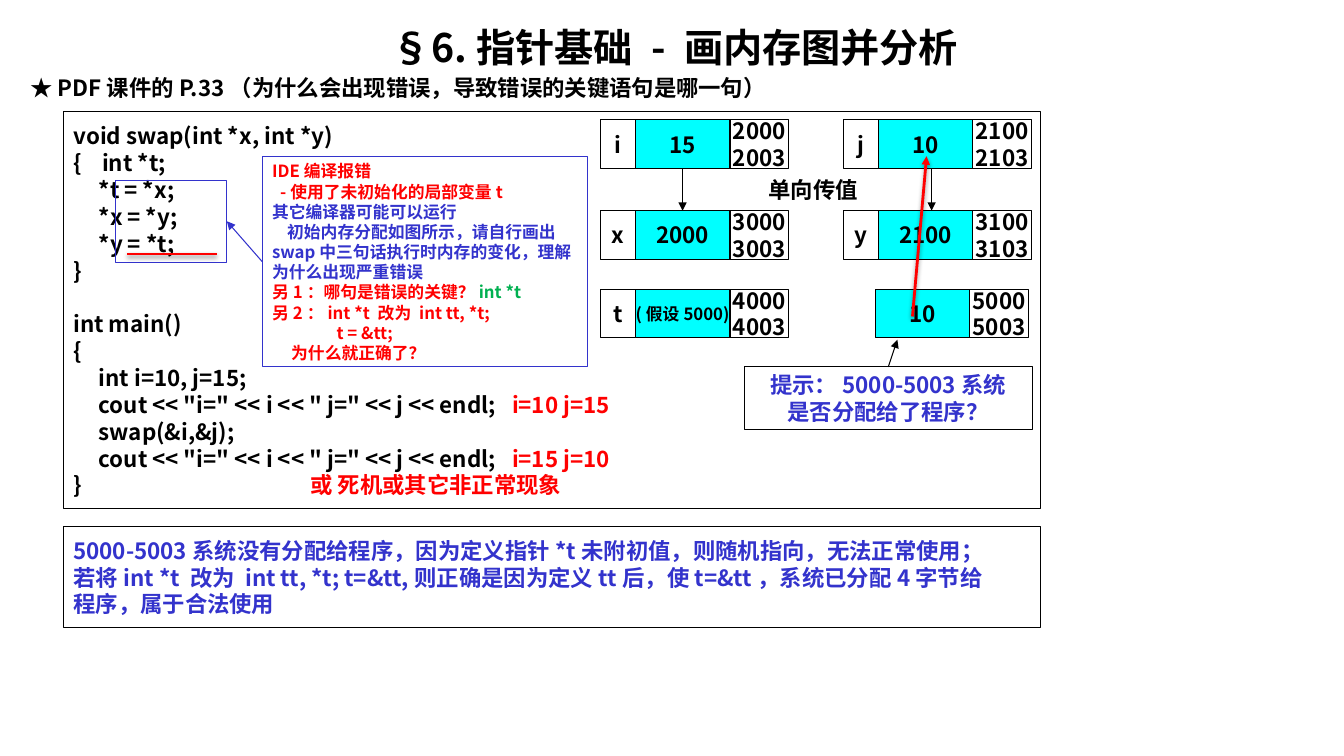
"""Build the slide that draws the memory of a faulty pointer swap."""
from dataclasses import dataclass
from typing import Optional

from lxml import etree
from pptx import Presentation, util as u
from pptx.dml.color import RGBColor
from pptx.enum import shapes, text
from pptx.oxml import ns

PX = 9144
FONT = "Noto Sans CJK SC"
COLORS = {"black": "000000", "red": "FF0000", "blue": "3333CC",
          "green": "00B050", "cyan": "00FFFF"}


@dataclass
class Line:
    words: str
    color: str = "black"
    size: int = 16
    center: bool = False
    indent: int = 0
    before: float = 0
    tab: int = 0
    extra: str = ""
    extra_color: str = "red"


@dataclass
class Memory:
    name: str
    x: int
    y: int
    value: str
    first_byte: int
    size: int = 16


@dataclass
class Arrow:
    start: tuple
    end: tuple
    color: str = "black"
    width: float = 0.75
    head: bool = True
    shadow: bool = False
    source: Optional[tuple] = None
    target: Optional[tuple] = None


CODE = [
    Line("void swap(int *x, int *y)"),
    Line("{    int *t;"),
    Line("     *t = *x;"),
    Line("     *x = *y;"),
    Line("     *y = *t;"),
    Line("}"),
    Line("int main()", before=19.2),
    Line("{"),
    Line("     int i=10, j=15;"),
    Line('     cout << "i=" << i << " j=" << j << endl;', tab=435, extra="i=10 j=15"),
    Line("     swap(&i,&j);"),
    Line('     cout << "i=" << i << " j=" << j << endl;', tab=435, extra="i=15 j=10"),
    Line("}", tab=235, extra="或 死机或其它非正常现象"),
]
REMARKS = [
    Line("IDE编译报错", "red", 12),
    Line("-使用了未初始化的局部变量t", "red", 12, indent=8),
    Line("其它编译器可能可以运行", "blue", 12),
    Line("初始内存分配如图所示，请自行画出swap中三句话执行时内存的变化，理解为什么出现严重错误",
         "blue", 12, indent=15),
    Line("另1：哪句是错误的关键？", "red", 12, extra="int *t", extra_color="green"),
    Line("另2：int *t 改为 int tt, *t;", "red", 12),
    Line("t = &tt;", "red", 12, indent=64),
    Line("为什么就正确了？", "red", 12, indent=19),
]
ANSWER = [Line(words, "blue") for words in (
    "5000-5003系统没有分配给程序，因为定义指针*t未附初值，则随机指向，无法正常使用；",
    "若将int *t 改为 int tt, *t; t=&tt,则正确是因为定义tt后，使t=&tt，系统已分配4字节给",
    "程序，属于合法使用")]
HINT = [Line(words, "blue", center=True)
        for words in ("提示：5000-5003系统", "是否分配给了程序？")]
HEADING = [
    Line("§6.指针基础 - 画内存图并分析", size=28, center=True),
    Line("★ PDF课件的P.33（为什么会出现错误，导致错误的关键语句是哪一句）", before=3.2),
]
MEMORY = [
    Memory("i", 596, 119, "15", 2000),
    Memory("j", 837, 119, "10", 2100),
    Memory("x", 596, 209, "2000", 3000),
    Memory("y", 837, 209, "2100", 3100),
    Memory("t", 596, 287, "(假设5000)", 4000, 12),
    Memory("", 834, 287, "10", 5000),
]


def rgb(color: str) -> RGBColor:
    return RGBColor.from_string(COLORS[color])


def write(frame, lines: list, wrap: bool, middle: bool, inset: int) -> None:
    frame.word_wrap = wrap
    frame.vertical_anchor = text.MSO_ANCHOR.MIDDLE if middle else text.MSO_ANCHOR.TOP
    frame.margin_left = frame.margin_right = inset * PX
    frame.margin_top = frame.margin_bottom = inset * PX // 2
    for number, line in enumerate(lines):
        paragraph = frame.add_paragraph() if number else frame.paragraphs[0]
        paragraph.alignment = text.PP_ALIGN.CENTER if line.center else text.PP_ALIGN.LEFT
        paragraph.line_spacing = u.Pt(line.size * 1.2)
        if line.before:
            paragraph.space_before = u.Pt(line.before)
        properties = paragraph._p.get_or_add_pPr()
        if line.indent:
            properties.set("marL", "0")
            properties.set("indent", str(line.indent * PX))
        if line.tab:
            stops = etree.SubElement(properties, ns.qn("a:tabLst"))
            etree.SubElement(stops, ns.qn("a:tab"), pos=str(line.tab * PX), algn="l")
        font = paragraph.font
        font.size, font.bold, font.name = u.Pt(line.size), True, FONT
        font.color.rgb = rgb(line.color)
        etree.SubElement(font._element, ns.qn("a:ea"), typeface=FONT)
        main = paragraph.add_run()
        main.text = line.words + ("\t" if line.tab else "")
        if line.extra:
            extra = paragraph.add_run()
            extra.text = line.extra
            main.font.color.rgb = rgb(line.color)
            extra.font.color.rgb = rgb(line.extra_color)


def add_box(slide, at: tuple, lines: list, edge: str = "black", fill: str = "",
            wrap: bool = False, middle: bool = True, inset: int = 0):
    box = slide.shapes.add_shape(shapes.MSO_SHAPE.RECTANGLE, *(v * PX for v in at))
    box.shadow.inherit = False
    if fill:
        box.fill.solid()
        box.fill.fore_color.rgb = rgb(fill)
    else:
        box.fill.background()
    box.line.color.rgb = rgb(edge)
    box.line.width = u.Pt(0.75)
    if lines:
        write(box.text_frame, lines, wrap, middle, inset)
    return box


def add_label(slide, at: tuple, lines: list, wrap: bool, middle: bool, inset: int) -> None:
    label = slide.shapes.add_textbox(*(v * PX for v in at))
    write(label.text_frame, lines, wrap, middle, inset)


def add_memory(slide, memory: Memory):
    x, y = memory.x, memory.y
    if memory.name:
        add_box(slide, (x, y, 34, 48), [Line(memory.name, center=True)])
    value = add_box(slide, (x + 34, y, 94, 48),
                    [Line(memory.value, size=memory.size, center=True)], fill="cyan")
    add_box(slide, (x + 128, y, 58, 48),
            [Line(str(memory.first_byte + step), center=True) for step in (0, 3)])
    return value


def add_arrow(slide, arrow: Arrow) -> None:
    link = slide.shapes.add_connector(shapes.MSO_CONNECTOR.STRAIGHT,
                                      *(v * PX for v in arrow.start + arrow.end))
    if arrow.source:
        link.begin_connect(*arrow.source)
    if arrow.target:
        link.end_connect(*arrow.target)
    link.line.color.rgb = rgb(arrow.color)
    link.line.width = u.Pt(arrow.width)
    if arrow.head:
        etree.SubElement(link.line._get_or_add_ln(), ns.qn("a:tailEnd"), type="triangle")
    effects = etree.SubElement(link._element.spPr, ns.qn("a:effectLst"))
    if arrow.shadow:
        shade = etree.SubElement(effects, ns.qn("a:outerShdw"), blurRad="40000",
                                 dist="20000", dir="5400000", rotWithShape="0")
        tone = etree.SubElement(shade, ns.qn("a:srgbClr"), val=COLORS["black"])
        etree.SubElement(tone, ns.qn("a:alpha"), val="38000")


def main() -> None:
    deck = Presentation()
    deck.slide_width, deck.slide_height = 1333 * PX, 750 * PX
    slide = deck.slides.add_slide(deck.slide_layouts[6])

    add_label(slide, (20, 18, 1299, 709), HEADING, True, False, 10)
    add_box(slide, (63, 111, 969, 394), CODE, wrap=True, inset=10)
    swap_body = add_box(slide, (115, 179, 110, 81), [], "blue")
    values = {memory.name: add_memory(slide, memory) for memory in MEMORY}
    add_label(slide, (757, 167, 99, 42), [Line("单向传值", center=True)], False, True, 0)
    hint = add_box(slide, (738, 364, 286, 62), HINT)
    remarks = add_box(slide, (260, 155, 323, 209), REMARKS, "blue",
                      wrap=True, middle=False, inset=10)
    add_box(slide, (63, 522, 969, 101), ANSWER, wrap=True, inset=10)

    for arrow in (
        Arrow((260, 259), (225, 219), "blue", source=(remarks, 1), target=(swap_body, 3)),
        Arrow((676, 167), (676, 209), source=(values["i"], 2), target=(values["x"], 0)),
        Arrow((924, 167), (924, 209)),
        Arrow((881, 364), (890, 337), source=(hint, 0)),
        Arrow((126, 252), (215, 252), "red", 2, head=False, shadow=True),
        Arrow((905, 314), (919, 155), "red", 2, shadow=True),
    ):
        add_arrow(slide, arrow)
    deck.save("out.pptx")


if __name__ == "__main__":
    main()
